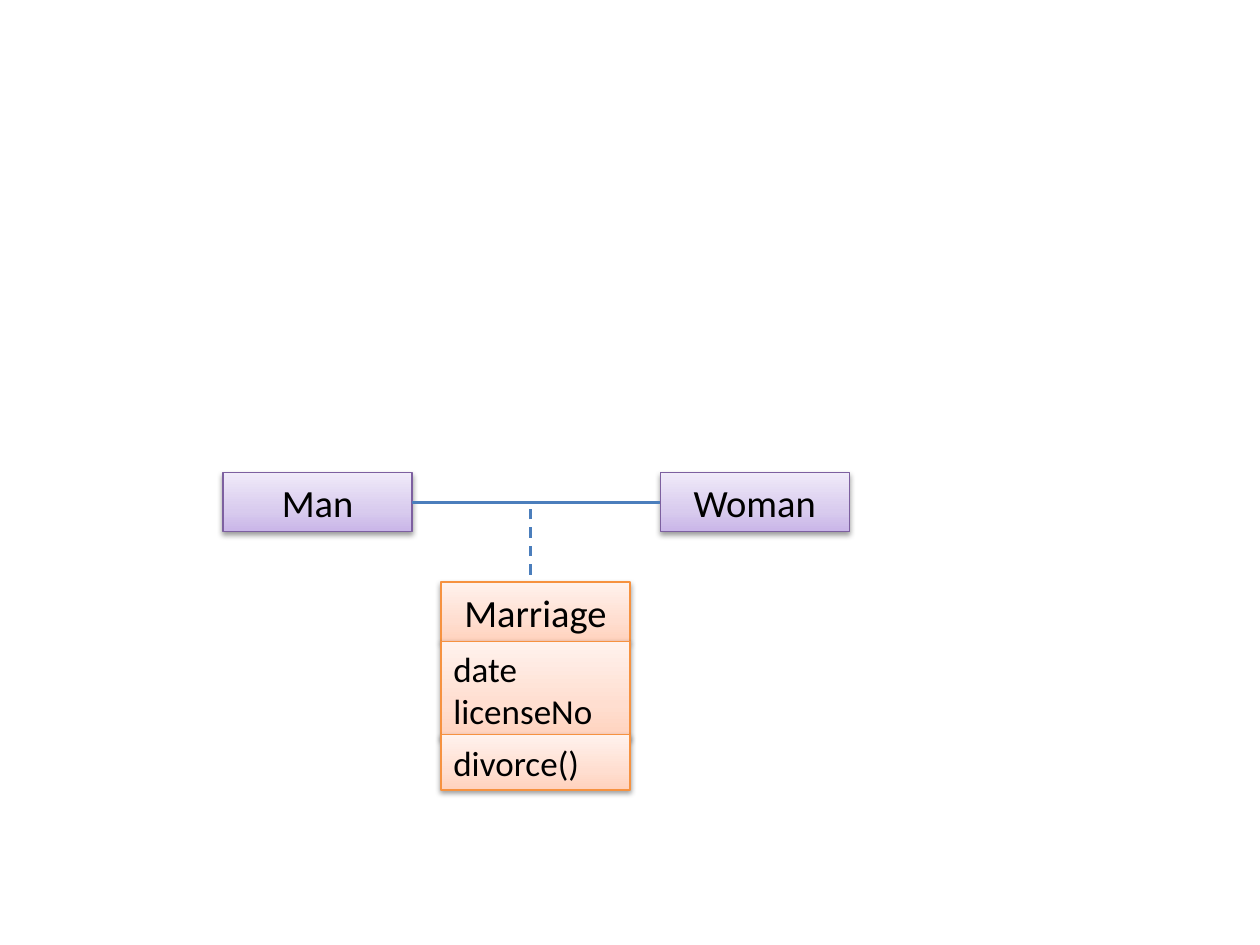
from copy import deepcopy

from lxml import etree
from pptx import Presentation
from pptx.dml.color import RGBColor
from pptx.enum.dml import MSO_LINE
from pptx.enum.shapes import MSO_CONNECTOR, MSO_SHAPE
from pptx.enum.text import MSO_ANCHOR, MSO_AUTO_SIZE, PP_ALIGN
from pptx.oxml.ns import qn
from pptx.util import Inches, Pt

RECT = MSO_SHAPE.RECTANGLE
STRAIGHT = MSO_CONNECTOR.STRAIGHT
DASH = MSO_LINE.DASH
LEFT, CENTER = PP_ALIGN.LEFT, PP_ALIGN.CENTER
MIDDLE = MSO_ANCHOR.MIDDLE
GROW = MSO_AUTO_SIZE.SHAPE_TO_FIT_TEXT

BLACK = RGBColor(0x00, 0x00, 0x00)
BLUE = RGBColor(0x4B, 0x7E, 0xBC)
PURPLE = RGBColor(0x7D, 0x60, 0xA0)
ORANGE = RGBColor(0xF6, 0x92, 0x40)
LILACS = (RGBColor(0xC9, 0xB5, 0xE8), RGBColor(0xD8, 0xCB, 0xEE), RGBColor(0xF0, 0xEA, 0xF9))
PEACHES = (RGBColor(0xFF, 0xD2, 0xBD), RGBColor(0xFF, 0xDE, 0xD0), RGBColor(0xFF, 0xF2, 0xED))
STOPS = (0, 0.35, 1)
PERSON = (PURPLE, LILACS)
UNION = (ORANGE, PEACHES)
WIDTH, HEAD = 1.5, 0.47


def apply(target, values):
    """Set each named attribute of the target."""
    for name, value in values.items():
        setattr(target, name, value)


class Diagram:
    """Draws class diagram parts on one slide."""

    def __init__(self, slide):
        """Keep the slide and the text style."""
        self.slide = slide
        self.frame = {"word_wrap": True, "vertical_anchor": MIDDLE, "auto_size": GROW}
        self.font = {"name": "Calibri", "color": BLACK}

    def shade(self, shape, tones):
        """Fill the shape with a three-tone gradient from the bottom up."""
        fill = shape.fill
        fill.gradient()
        fill.gradient_angle = 90
        first = shape.element.spPr.find(".//" + qn("a:gs"))
        first.addnext(deepcopy(first))
        for stop, place, tone in zip(fill.gradient_stops, STOPS, tones):
            apply(stop, {"position": place})
            stop.color.rgb = tone

    def shadow(self, shape):
        """Cast a soft shadow below the shape."""
        shape.shadow.inherit = False
        effects = shape.element.spPr.find(qn("a:effectLst"))
        cast = etree.SubElement(effects, qn("a:outerShdw"), blurRad="40000", dist="20000",
                                dir="5400000", rotWithShape="0")
        color = etree.SubElement(cast, qn("a:srgbClr"), val="000000")
        etree.SubElement(color, qn("a:alpha"), val="38000")

    def box(self, left, top, height, lines, look, size=22, align=CENTER):
        """Add a shaded box with one paragraph per line."""
        edge, tones = look
        place = [Inches(n) for n in (left, top, WIDTH, height)]
        shape = self.slide.shapes.add_shape(RECT, *place)
        self.shade(shape, tones)
        shape.line.color.rgb = edge
        shape.line.width = Pt(0.75)
        self.shadow(shape)
        frame = shape.text_frame
        frame.text = "\n".join(lines)
        apply(frame, self.frame)
        for para in frame.paragraphs:
            para.alignment = align
            apply(para.font, {"name": self.font["name"], "size": Pt(size)})
            para.font.color.rgb = self.font["color"]

    def link(self, start, end, dash=None):
        """Add a straight line between two points."""
        ends = [Inches(n) for n in (*start, *end)]
        line = self.slide.shapes.add_connector(STRAIGHT, *ends)
        line.line.color.rgb = BLUE
        apply(line.line, {"width": Pt(1.5), "dash_style": dash})
        etree.SubElement(line.element.spPr, qn("a:effectLst"))


def main():
    """Build and save the marriage class diagram."""
    deck = Presentation()
    apply(deck, {"slide_width": Inches(10), "slide_height": Inches(7.5)})
    art = Diagram(deck.slides.add_slide(deck.slide_layouts[6]))
    man, woman, top = 1.77, 5.24, 3.75
    for name, left in (("Man", man), ("Woman", woman)):
        art.box(left, top, HEAD, [name], PERSON)
    left = 3.5
    art.box(left, 4.62, HEAD, ["Marriage"], UNION)
    art.box(left, 5.09, 0.77, ["date", "licenseNo"], UNION, 20, LEFT)
    art.box(left, 5.83, 0.44, ["divorce()"], UNION, 20, LEFT)
    level = 3.99
    art.link((man + WIDTH, level), (woman, level))
    art.link((4.21, 4.56), (4.21, 4.01), DASH)
    deck.save("out.pptx")


if __name__ == "__main__":
    main()
